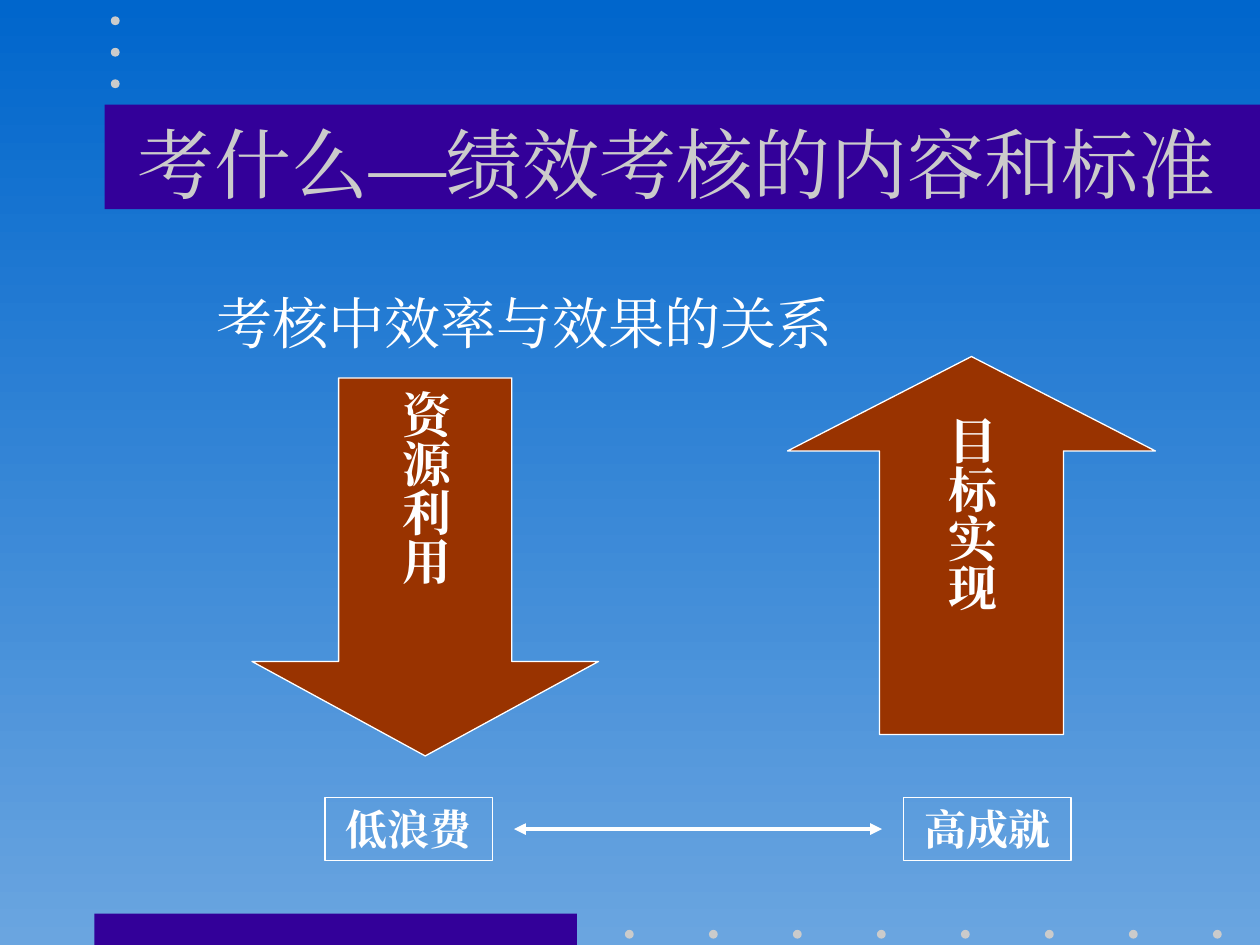
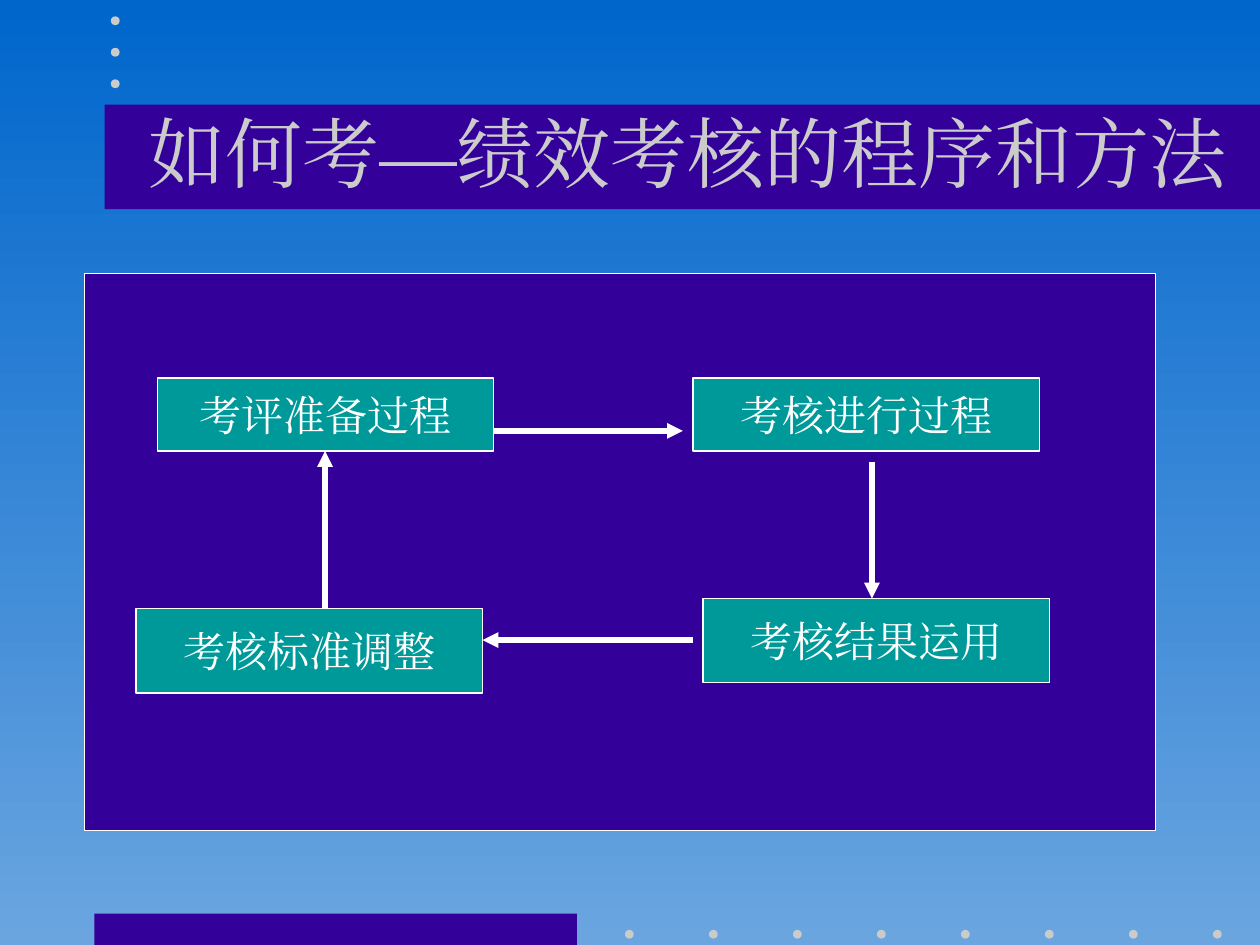
from dataclasses import dataclass

from lxml.etree import SubElement
from pptx import Presentation
from pptx.dml.color import RGBColor
from pptx.enum.lang import MSO_LANGUAGE_ID
from pptx.enum.shapes import MSO_CONNECTOR, MSO_SHAPE
from pptx.enum.text import MSO_ANCHOR, MSO_AUTO_SIZE, PP_ALIGN
from pptx.oxml.ns import qn
from pptx.util import Inches, Pt


@dataclass(frozen=True)
class Theme:
    sky_top: str = "0066CC"
    sky_bottom: str = "6AA5E0"
    band: str = "330099"
    silver: str = "CBCBCB"
    white: str = "FFFFFF"
    rust: str = "993300"
    teal: str = "009999"
    font: str = "Times New Roman"
    title_size: int = 44
    heading_size: int = 32
    arrow_size: int = 28
    label_size: int = 24
    outline: float = 0.75


THEME = Theme()


def color(code):
    return RGBColor.from_string(code)


def write(frame, text, size=THEME.label_size, ink=THEME.white, bold=False,
          anchor=MSO_ANCHOR.MIDDLE, wrap=False, fit=MSO_AUTO_SIZE.NONE, vertical=False):
    frame.word_wrap = wrap
    frame.auto_size = fit
    frame.vertical_anchor = anchor
    wide, narrow = Inches(0.1), Inches(0.05)
    across, along = (narrow, wide) if vertical else (wide, narrow)
    frame.margin_left = frame.margin_right = across
    frame.margin_top = frame.margin_bottom = along
    if vertical:
        frame._txBody.find(qn("a:bodyPr")).set("vert", "eaVert")
    para = frame.paragraphs[0]
    para.alignment = PP_ALIGN.CENTER
    span = para.add_run()
    span.text = text
    span.font.size = Pt(size)
    span.font.bold = bold
    span.font.name = THEME.font
    span.font.language_id = MSO_LANGUAGE_ID.SIMPLIFIED_CHINESE
    span.font.color.rgb = color(ink)
    SubElement(span.font._element, qn("a:ea"), typeface=THEME.font)


class SlideBuilder:
    def __init__(self, deck, theme):
        self.deck = deck
        self.theme = theme
        self.layout = deck.slide_layouts.get_by_name("Title Only")
        self.page = None
        self.paint_background()

    def paint_background(self):
        fill = self.layout.background.fill
        fill.gradient()
        fill.gradient_angle = 270
        for stop, code in zip(fill.gradient_stops, (self.theme.sky_top, self.theme.sky_bottom)):
            stop.color.rgb = color(code)

    def start(self, title, left, top, width, height):
        self.page = self.deck.slides.add_slide(self.layout)
        self.decorate()
        box = self.page.shapes.title
        self.page.shapes._spTree.append(box._element)
        box.left, box.top = Inches(left), Inches(top)
        box.width, box.height = Inches(width), Inches(height)
        write(box.text_frame, title, size=self.theme.title_size, ink=self.theme.silver, wrap=True)

    def decorate(self):
        self.shape(0.75, 7.25, 3.83, 0.25, fill=self.theme.band, outlined=False)
        self.shape(0.83, 0.83, 9.17, 0.83, fill=self.theme.band, outlined=False)
        for column in range(8):
            self.dot(4.96 + column * 2 / 3, 7.38)
        for row in range(3):
            self.dot(0.88, 0.13 + row * 0.25)

    def dot(self, left, top):
        self.shape(left, top, 0.07, 0.07, kind=MSO_SHAPE.OVAL,
                   fill=self.theme.silver, outlined=False)

    def shape(self, left, top, width, height, kind=MSO_SHAPE.RECTANGLE, fill=None, outlined=True):
        box = self.page.shapes.add_shape(
            kind, Inches(left), Inches(top), Inches(width), Inches(height))
        box.shadow.inherit = False
        if fill:
            box.fill.solid()
            box.fill.fore_color.rgb = color(fill)
        else:
            box.fill.background()
        if outlined:
            box.line.color.rgb = color(self.theme.white)
            box.line.width = Pt(self.theme.outline)
        else:
            box.line.fill.background()
        return box

    def label(self, text, left, top, width, height, fill=None, bold=False):
        box = self.shape(left, top, width, height, fill=fill)
        write(box.text_frame, text, bold=bold)

    def block_arrow(self, text, kind, left, top, width, height, head):
        box = self.shape(left, top, width, height, kind=kind, fill=self.theme.rust)
        box.adjustments[0] = 0.5
        box.adjustments[1] = head / min(width, height)
        write(box.text_frame, text, size=self.theme.arrow_size, bold=True, vertical=True)

    def heading(self, text, left, top, width, height):
        box = self.page.shapes.add_textbox(
            Inches(left), Inches(top), Inches(width), Inches(height))
        write(box.text_frame, text, size=self.theme.heading_size, anchor=MSO_ANCHOR.TOP,
              wrap=True, fit=MSO_AUTO_SIZE.SHAPE_TO_FIT_TEXT)

    def arrow(self, start, end, width=3, ends=("tailEnd",)):
        line = self.page.shapes.add_connector(
            MSO_CONNECTOR.STRAIGHT, *(Inches(value) for value in (*start, *end)))
        line.line.color.rgb = color(self.theme.white)
        line.line.width = Pt(width)
        outline = line.line._get_or_add_ln()
        for end_name in ends:
            SubElement(outline, qn(f"a:{end_name}"), type="triangle")
        SubElement(line._element.spPr, qn("a:effectLst"))


def build_content_slide(builder):
    builder.start("考什么—绩效考核的内容和标准", 0.75, 0.67, 9.25, 1.25)
    builder.block_arrow("目标实现", MSO_SHAPE.UP_ARROW, 6.25, 2.83, 2.92, 3, head=0.75)
    builder.block_arrow("资源利用", MSO_SHAPE.DOWN_ARROW, 2, 3, 2.75, 3, head=0.75)
    builder.arrow((4.08, 6.58), (7, 6.58), width=2.25, ends=("headEnd", "tailEnd"))
    for text, left in (("低浪费", 2.58), ("高成就", 7.17)):
        builder.label(text, left, 6.33, 1.33, 0.5, bold=True)
    builder.heading("考核中效率与效果的关系", 1.25, 2.24, 5.83, 0.63)


def build_process_slide(builder):
    builder.start("如何考—绩效考核的程序和方法", 0.92, 0.83, 9.08, 0.75)
    builder.shape(0.67, 2.17, 8.5, 4.42, fill=THEME.band)
    steps = (
        ("考评准备过程", 1.25, 3, 2.67, 0.58),
        ("考核进行过程", 5.5, 3, 2.75, 0.58),
        ("考核结果运用", 5.58, 4.75, 2.75, 0.67),
        ("考核标准调整", 1.08, 4.83, 2.75, 0.67),
    )
    for step in steps:
        builder.label(*step, fill=THEME.teal)
    links = (
        ((3.92, 3.42), (5.42, 3.42)),
        ((2.58, 4.83), (2.58, 3.58)),
        ((5.5, 5.08), (3.83, 5.08)),
        ((6.92, 3.67), (6.92, 4.75)),
    )
    for start, end in links:
        builder.arrow(start, end)


def main():
    deck = Presentation()
    deck.slide_width, deck.slide_height = Inches(10), Inches(7.5)
    builder = SlideBuilder(deck, THEME)
    build_content_slide(builder)
    build_process_slide(builder)
    deck.save("out.pptx")


if __name__ == "__main__":
    main()
